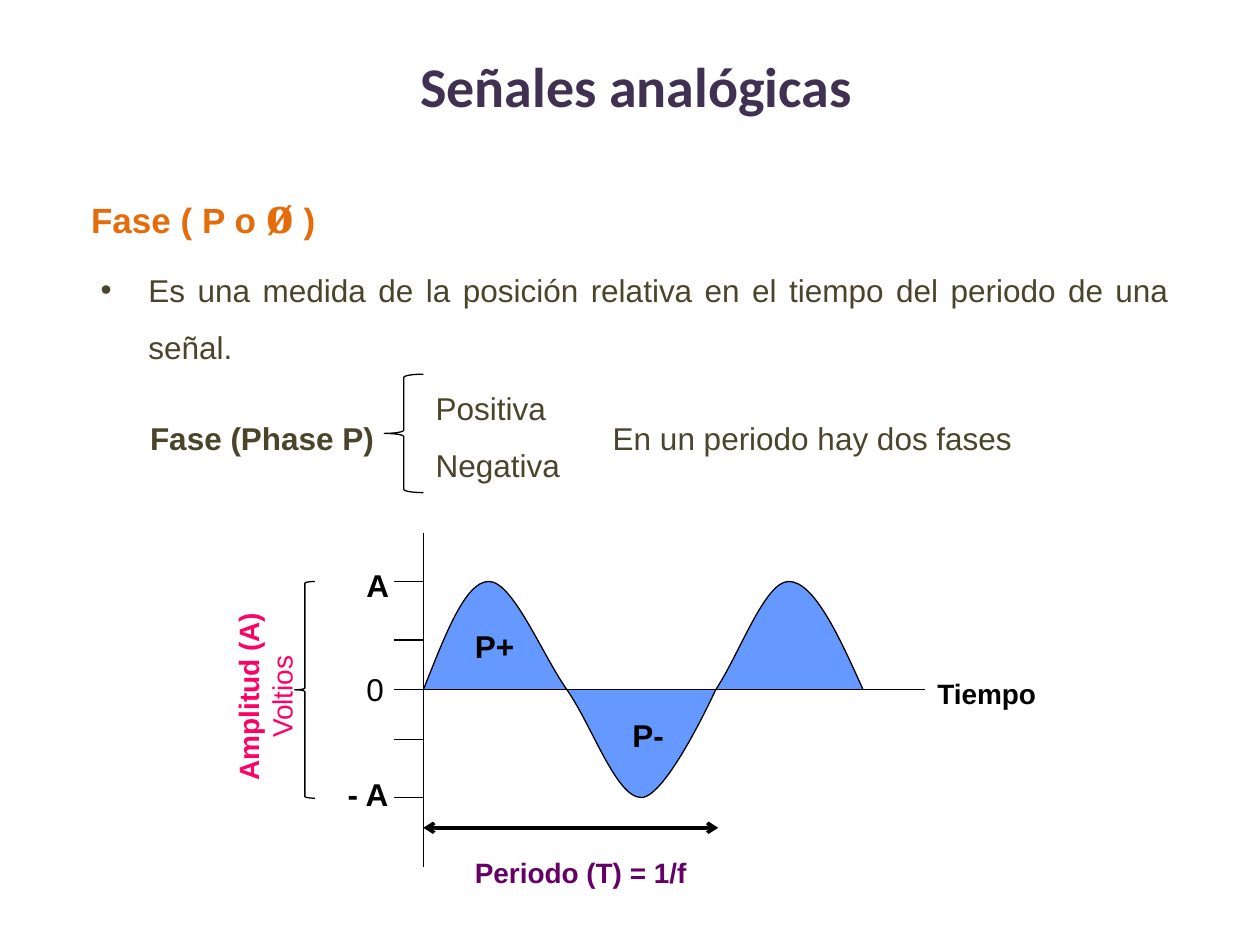
from pptx import Presentation
from pptx.dml.color import RGBColor
from pptx.enum.shapes import MSO_CONNECTOR, MSO_SHAPE
from pptx.enum.text import MSO_ANCHOR, PP_ALIGN
from pptx.oxml import parse_xml
from pptx.oxml.ns import nsdecls, qn
from pptx.util import Inches, Pt

deck = Presentation()
deck.slide_width, deck.slide_height = Inches(10), Inches(7.5)
slide = deck.slides.add_slide(deck.slide_layouts[5])
shapes = slide.shapes
cell = deck.slide_width // 100
hue = RGBColor.from_string
black, olive, pink, orange = "000000", "4A452A", "FF0066", "E46C0A"
left, right, zero, top, low = 33.6, 73.4, 54.75, 46.15, 63.3


def write(lines, place, size=18, color=black, bold=False, font="Arial",
          align=PP_ALIGN.LEFT, space=None, hang=False, bullet=False, turn=0, box=None):
    box = box or shapes.add_textbox(0, 0, 0, 0)
    box.left, box.top, box.width, box.height = [round(n * cell) for n in place]
    box.rotation = turn
    frame = box.text_frame
    frame.word_wrap = True
    for i, line in enumerate(lines):
        para = frame.add_paragraph() if i else frame.paragraphs[0]
        para.alignment = align
        if space:
            para.line_spacing = space
        props = para._p.get_or_add_pPr()
        if hang:
            props.set("marL", str(Inches(0.38)))
            props.set("indent", str(-Inches(0.38)))
        if bullet:
            for tag in ('buFont typeface="Arial"', 'buChar char="•"'):
                name, rest = tag.split(" ")
                props.append(parse_xml(f'<a:{name} {nsdecls("a")} {rest}/>'))
        for part in [line] if isinstance(line, str) else line:
            words, form = (part, {}) if isinstance(part, str) else part
            run = para.add_run()
            run.text = words
            run.font.name = form.get("font", font)
            run.font.size = Pt(form.get("size", size))
            run.font.bold = form.get("bold", bold)
            run.font.color.rgb = hue(form.get("color", color))
    return box


def rule(x1, y1, x2, y2, width=0.75, arrow=False):
    line = shapes.add_connector(MSO_CONNECTOR.STRAIGHT,
                                *[round(n * cell) for n in (x1, y1, x2, y2)])
    line.line.color.rgb = hue(black)
    line.line.width = Pt(width)
    if arrow:
        for end in ("headEnd", "tailEnd"):
            line.line._get_or_add_ln().append(
                parse_xml(f'<a:{end} {nsdecls("a")} type="arrow"/>'))
    line._element.spPr.append(parse_xml(f'<a:effectLst {nsdecls("a")}/>'))


title = write([[(" ", {"color": "3333CC", "bold": False}), "Señales analógicas"]],
              (1, 0.5, 98, 12.5), size=32, color="403152", bold=True,
              font="Calibri", align=PP_ALIGN.CENTER, box=shapes.title)
title.text_frame.vertical_anchor = MSO_ANCHOR.MIDDLE

write([["Fase ( P o ", ("ø", {"size": 32, "font": "Times New Roman"}), " )"]],
      (6.25, 10.9, 26.6, 8.1), size=20, color=orange, bold=True,
      align=PP_ALIGN.JUSTIFY, space=1.5)

body = dict(color=olive, align=PP_ALIGN.JUSTIFY, space=1.5, hang=True)
write(["Es una medida de la posición relativa en el tiempo del periodo de una señal."],
      (7, 19.53, 86.74, 11.7), bullet=True, **body)

dots = [
    (35.3, 50.5), (36.9, top), (38.8, top),
    (40.7, top), (43, 51.9), (45, zero),
    (47, 57.6), (48.9, low), (50.9, low),
    (52.9, low), (56.8, zero), (56.8, zero),
    (58.7, 51.9), (60.7, top), (62.6, top),
    (64.6, top), (66.6, 50.5), (68.5, zero),
]
pen = shapes.build_freeform(round(left * cell), round(zero * cell))
pen.add_line_segments([(round(x * cell), round(y * cell)) for x, y in dots], close=False)
wave = pen.convert_to_shape()
steps = list(wave._element.iter(qn("a:lnTo")))
for i in range(0, len(steps), 3):
    curve = parse_xml(f'<a:cubicBezTo {nsdecls("a")}/>')
    steps[i].addprevious(curve)
    for step in steps[i:i + 3]:
        curve.append(step[0])
        step.getparent().remove(step)
wave.shadow.inherit = False
wave.fill.solid()
wave.fill.fore_color.rgb = hue("6699FF")
wave.line.color.rgb = hue(black)
wave.line.width = Pt(0.75)

rule(left, 42.3, left, 68.8)
for y in (top, 50.8, 58.7, low):
    rule(31.3, y, left, y)
rule(31.3, zero, right, zero)
rule(left, 65.7, 57, 65.7, width=2, arrow=True)

for place, bend in (((23.4, top, 1.6, 17.2), 0.084), ((30.5, 29.7, 3.1, 9.4), 0.083)):
    brace = shapes.add_shape(MSO_SHAPE.LEFT_BRACE, *[round(n * cell) for n in place])
    brace.adjustments[0] = bend
    brace.shadow.inherit = False
    brace.fill.solid()
    brace.fill.fore_color.rgb = hue("FFFFFF")
    brace.line.color.rgb = hue(black)
    brace.line.width = Pt(0.75)

write([["Amplitud (A) ", ("Voltios", {"bold": False})]], (12.85, 52.1, 16.4, 6.4),
      size=16, color=pink, bold=True, align=PP_ALIGN.CENTER, turn=270)
for words, x, y, w, bold in (
    ("0", 28.1, 52.7, 3.9, False), ("- A", 26.6, 61, 6.2, True),
    ("A", 28.1, 44.45, 3.9, True), ("P+", 36.7, 49.3, 5.5, True),
    ("P-", 49.2, 56.3, 5.5, True),
):
    write([words], (x, y, w, 4), bold=bold)
write(["Tiempo"], (right, 53.2, 10.9, 3.7), size=16, bold=True)
write(["Periodo (T) = 1/f"], (35.95, 67.4, 20.3, 3.7), size=16, color="660066",
      bold=True, align=PP_ALIGN.CENTER)

write(["Fase (Phase P)"], (10.93, 31.25, 20.3, 5.5), bold=True, **body)
write(["Positiva", "Negativa"], (left, 28.9, 15.6, 10.2), **body)
write(["En un periodo hay dos fases"], (47.65, 31.25, 40.6, 5.5), **body)

deck.save("out.pptx")
